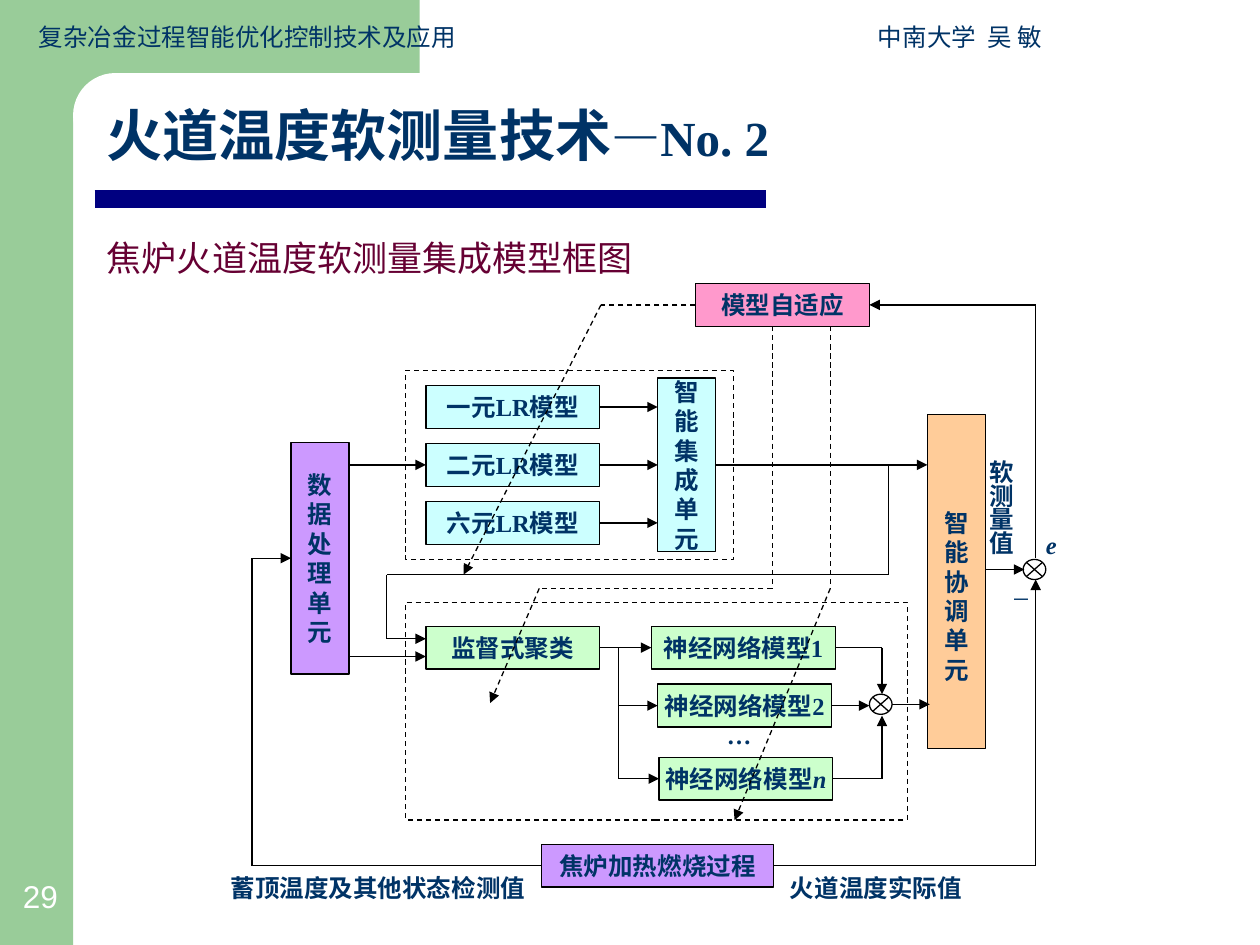
from pptx import Presentation
from pptx.dml.color import RGBColor
from pptx.enum.dml import MSO_LINE
from pptx.enum.shapes import MSO_CONNECTOR, MSO_SHAPE
from pptx.enum.text import MSO_ANCHOR, PP_ALIGN
from pptx.oxml.ns import qn
from pptx.util import Inches, Pt
from lxml.etree import SubElement

NAVY, BLACK, WHITE, GREEN = "003366", "000000", "FFFFFF", "99CC99"
SERIF, SANS, CJK = "Times New Roman", "Arial", "Noto Sans CJK SC"
CYAN, MINT, PURPLE = "CCFFFF", "CCFFCC", "CC99FF"
ROW, WIDE, TALL = 0.34, 1.38, 0.46
TOLERANCE = 0.02

BACKDROP = [
    (MSO_SHAPE.RECTANGLE, (0, 0, 0.58, 7.5), GREEN),
    (MSO_SHAPE.RECTANGLE, (0.58, 0, 2.75, 0.92), GREEN),
    (MSO_SHAPE.ROUNDED_RECTANGLE, (0.58, 0.58, 5.58, 0.67), WHITE),
]
LR_MODELS = ["一元LR模型", "二元LR模型", "六元LR模型"]
LR_LEFT, LR_TOP, LR_STEP = 3.38, 3.06, 0.46
UNITS = [
    ("智能协调单元", (7.36, 3.29, TALL, 2.65), "FFCC99", (0.1, 0.28)),
    ("智能集成单元", (5.22, 3, TALL, 1.38), CYAN, (0.1, 0.05)),
    ("监督式聚类", (3.38, 4.97, WIDE, ROW), MINT, (0.1, 0.05)),
    ("神经网络模型1", (5.17, 4.97, 1.46, ROW), MINT, (0.06, 0.05)),
    ("神经网络模型2", (5.22, 5.43, WIDE, ROW), MINT, (0.02, 0.05)),
    (["神经网络模型", ("n", {"italic": True})], (5.23, 6.01, WIDE, ROW), MINT, (0.02, 0.05)),
    ("数据处理单元", (2.31, 3.51, TALL, 1.84), PURPLE, (0.1, 0.05)),
    ("焦炉加热燃烧过程", (4.3, 6.7, 1.84, ROW), PURPLE, (0.1, 0.05)),
    ("模型自适应", (5.52, 2.25, WIDE, ROW), "FF99CC", (0.1, 0.05)),
]
JUNCTIONS = [(6.9, 5.51, 0.18, 0.16), (8.12, 4.44, 0.18, 0.16)]
FRAMES = [(3.22, 2.94, 2.6, 1.5), (3.22, 4.78, 3.98, 1.73)]
SIGNAL_ROUTES = [
    [(2.77, 3.69), (3.38, 3.69)],
    [(2.77, 5.21), (3.38, 5.21)],
    [(4.76, 5.14), (5.17, 5.14)],
    [(4.91, 5.14), (4.91, 6.18), (5.23, 6.18)],
    [(4.91, 5.6), (5.22, 5.6)],
    [(6.63, 5.14), (7, 5.14), (7, 5.51)],
    [(6.6, 5.6), (6.9, 5.6)],
    [(6.61, 6.18), (7, 6.18), (7, 5.68)],
    [(7.08, 5.59), (7.38, 5.59)],
    [(7.82, 4.52), (8.13, 4.52)],
    [(5.68, 3.69), (7.36, 3.69)],
    [(7.05, 3.69), (7.05, 4.56), (3.07, 4.56), (3.07, 5.07), (3.38, 5.07)],
    [(6.14, 6.87), (8.22, 6.87), (8.22, 4.6)],
    [(4.3, 6.87), (2, 6.87), (2, 4.43), (2.31, 4.43)],
    [(8.22, 4.43), (8.22, 2.42), (6.9, 2.42)],
]
ADAPT_ROUTES = [
    [(5.52, 2.42), (4.77, 2.42), (3.68, 4.56)],
    [(6.59, 2.59), (6.59, 4.67), (5.83, 6.51)],
    [(6.13, 2.59), (6.13, 4.67), (4.28, 4.67), (3.89, 5.58)],
]
LABELS = [
    (["火道温度软测量技术", ("—No. 2", {"size": 28})], (0.75, 0.75, 8.83, 0.64),
     {"size": 32, "anchor": MSO_ANCHOR.TOP}),
    ("焦炉火道温度软测量集成模型框图", (0.75, 1.83, 4.58, 0.42),
     {"size": 20, "font": CJK, "color": "660033", "bold": False, "wrap": False}),
    ("软测量值", (7.76, 3.7, 0.31, 0.69),
     {"align": PP_ALIGN.RIGHT, "spacing": 0.8, "inset": (0.02, 0)}),
    ("…", (5.67, 5.78, 0.46, 0.11), {"inset": (0.1, 0)}),
    ("e", (8.28, 4.21, 0.31, 0.23), {"italic": True, "inset": (0.02, 0)}),
    ("火道温度实际值", (6.27, 6.96, 1.56, 0.17), {"inset": (0, 0)}),
    ("蓄顶温度及其他状态检测值", (1.83, 6.9, 2.35, 0.29), {"inset": (0, 0)}),
    ("—", (7.95, 4.63, 0.31, 0.24),
     {"size": 8, "font": SANS, "anchor": MSO_ANCHOR.TOP, "wrap": False}),
    ("复杂冶金过程智能优化控制技术及应用\t中南大学  吴 敏", (0.21, 0.12, 9.58, 0.34),
     {"font": SANS, "bold": False, "anchor": MSO_ANCHOR.BOTTOM, "tab": 6.66}),
    ("29", (0, 6.91, 0.64, 0.4),
     {"size": 18, "font": SANS, "color": WHITE, "bold": False,
      "anchor": MSO_ANCHOR.BOTTOM, "align": PP_ALIGN.CENTER}),
]

deck = Presentation()
deck.slide_width, deck.slide_height = Inches(10), Inches(7.5)
page = deck.slides.add_slide(deck.slide_layouts[6])


def rgb(value):
    return RGBColor.from_string(value)


def write(box, text, size=14, font=SERIF, color=NAVY, bold=True, italic=False,
          align=PP_ALIGN.LEFT, anchor=MSO_ANCHOR.MIDDLE, inset=(0.1, 0.05),
          wrap=True, spacing=None, tab=None):
    frame = box.text_frame
    frame.word_wrap = wrap
    frame.vertical_anchor = anchor
    side, top = inset
    frame.margin_left = frame.margin_right = Inches(side)
    frame.margin_top, frame.margin_bottom = Inches(top), Inches(min(top, 0.05))
    para = frame.paragraphs[0]
    para.alignment = align
    if spacing:
        para.line_spacing = spacing
    if tab:
        stops = SubElement(para._p.get_or_add_pPr(), qn("a:tabLst"))
        SubElement(stops, qn("a:tab"), pos=str(Inches(tab)), algn="l")
    for part in [text] if isinstance(text, str) else text:
        words, changes = (part, {}) if isinstance(part, str) else part
        span = para.add_run()
        span.text = words
        span.font.size = Pt(changes.get("size", size))
        span.font.name = font
        span.font.bold = bold
        span.font.italic = changes.get("italic", italic)
        span.font.color.rgb = rgb(color)
        SubElement(span._r.get_or_add_rPr(), qn("a:ea"), typeface=CJK)


def add_box(kind, place, fill=None, line=BLACK, dashed=False):
    box = page.shapes.add_shape(kind, *map(Inches, place))
    box.shadow.inherit = False
    if fill:
        box.fill.solid()
        box.fill.fore_color.rgb = rgb(fill)
    else:
        box.fill.background()
    if line:
        box.line.color.rgb = rgb(line)
        box.line.width = Pt(0.75)
        if dashed:
            box.line.dash_style = MSO_LINE.DASH
    else:
        box.line.fill.background()
    return box


def find_side(point, boxes):
    for box, (left, top, width, height) in boxes:
        middles = [(left + width / 2, top), (left, top + height / 2),
                   (left + width / 2, top + height), (left + width, top + height / 2)]
        for side, middle in enumerate(middles):
            if all(abs(a - b) < TOLERANCE for a, b in zip(point, middle)):
                return box, side
    return None


def add_line(start, end, color=BLACK, width=0.75, dashed=False, arrow=False, boxes=()):
    line = page.shapes.add_connector(MSO_CONNECTOR.STRAIGHT, *map(Inches, start + end))
    line.line.color.rgb = rgb(color)
    line.line.width = Pt(width)
    if dashed:
        line.line.dash_style = MSO_LINE.DASH
    if arrow:
        SubElement(line.line._get_or_add_ln(), qn("a:tailEnd"), type="triangle")
    SubElement(line._element.spPr, qn("a:effectLst"))
    for point, join in ((start, line.begin_connect), (end, line.end_connect)):
        target = find_side(point, boxes)
        if target:
            join(*target)


for kind, place, fill in BACKDROP:
    panel = add_box(kind, place, fill, line=None)
    if kind == MSO_SHAPE.ROUNDED_RECTANGLE:
        panel.adjustments[0] = 0.5

lr_tops = [LR_TOP + LR_STEP * row for row in range(len(LR_MODELS))]
lr_units = [(name, (LR_LEFT, top, WIDE, ROW), CYAN, (0.1, 0.05))
            for name, top in zip(LR_MODELS, lr_tops)]
lr_routes = [[(LR_LEFT + WIDE, top + ROW / 2), (5.22, top + ROW / 2)] for top in lr_tops]

unit_boxes = []
for text, place, fill, inset in lr_units + UNITS:
    unit = add_box(MSO_SHAPE.RECTANGLE, place, fill)
    write(unit, text, align=PP_ALIGN.CENTER, inset=inset)
    unit_boxes.append((unit, place))
for place in JUNCTIONS:
    add_box(MSO_SHAPE.FLOWCHART_SUMMING_JUNCTION, place, WHITE)
for place in FRAMES:
    add_box(MSO_SHAPE.RECTANGLE, place, dashed=True)

for routes, dashed in ((lr_routes + SIGNAL_ROUTES, False), (ADAPT_ROUTES, True)):
    for route in routes:
        for start, end in zip(route, route[1:]):
            add_line(start, end, dashed=dashed, arrow=end == route[-1], boxes=unit_boxes)
add_line((0.75, 1.58), (6.08, 1.58), color="000080", width=10)

for text, place, style in LABELS:
    write(page.shapes.add_textbox(*map(Inches, place)), text, **style)

deck.save("out.pptx")
